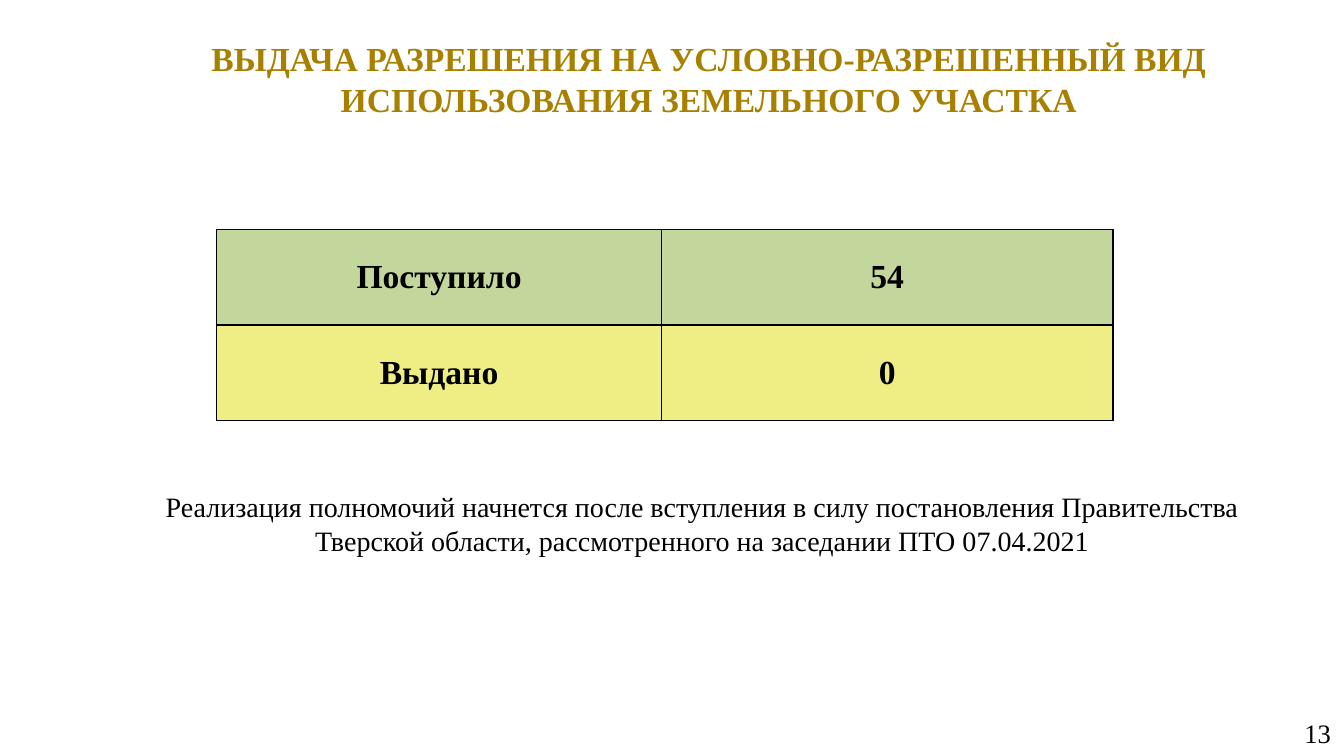
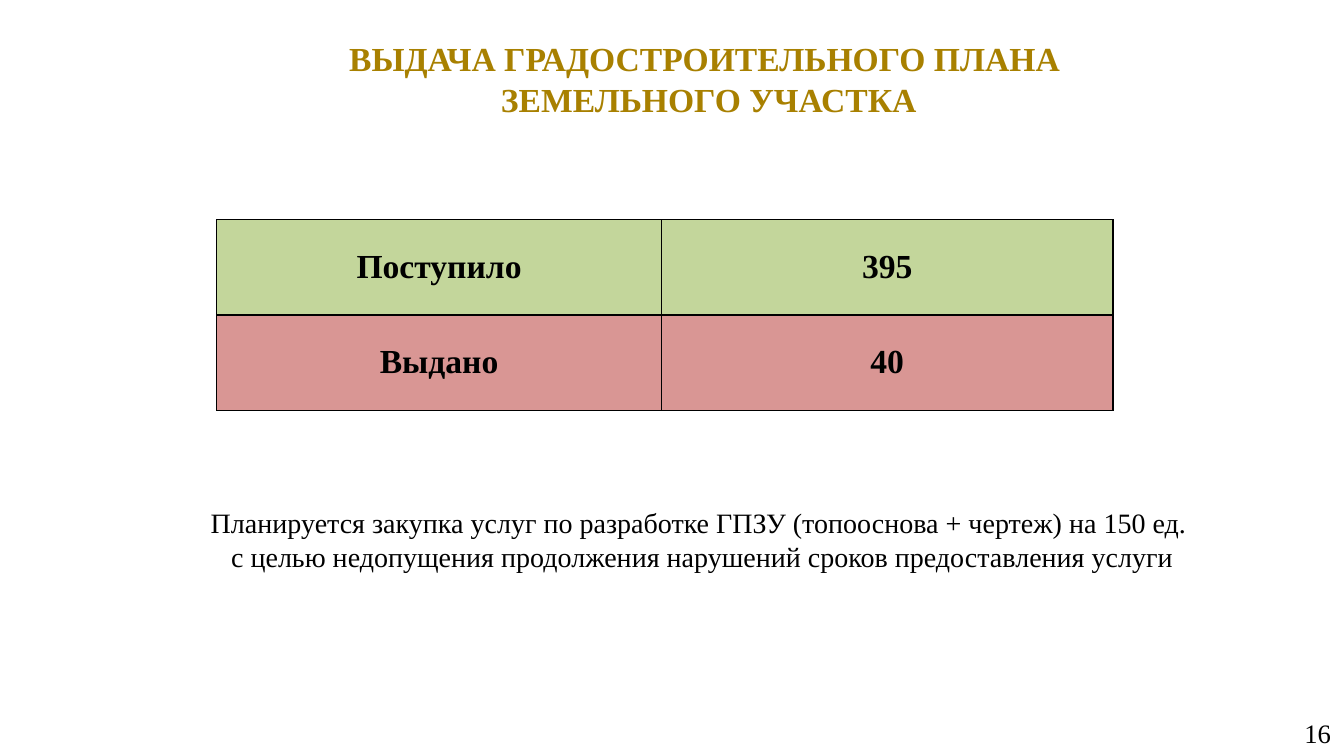
from dataclasses import dataclass

from pptx import Presentation
from pptx.dml.color import RGBColor
from pptx.enum.text import MSO_ANCHOR as Anchor, MSO_AUTO_SIZE as AutoSize, PP_ALIGN as Align
from pptx.oxml import parse_xml
from pptx.oxml.ns import nsdecls
from pptx.util import Inches, Pt

SLIDE_WIDTH, SLIDE_HEIGHT = Inches(13.33), Inches(7.5)
FONT = "Times New Roman"
GOLD = RGBColor(0xA8, 0x80, 0x00)
BLACK = RGBColor(0x00, 0x00, 0x00)
GREEN = RGBColor(0xC3, 0xD6, 0x9B)
YELLOW = RGBColor(0xEE, 0xEE, 0x84)
RED = RGBColor(0xD9, 0x96, 0x94)

TITLE_AREA = (9.83, 3.73, 85.82, 13.33)
PAGE_AREA = (76.67, 94.27, 23.33, 5.33)
TABLE_LEFT, TABLE_COLUMNS, TABLE_ROW = 16.13, (33.08, 33.61), 12.6
NOTE_LEFT, NOTE_WIDTH, NOTE_HEIGHT = 7.58, 89.35, 10.13
MARGIN_X, MARGIN_Y = Inches(0.13), Inches(0.07)


@dataclass
class Service:
    title: str
    page: str
    received: str
    issued: str
    issued_color: RGBColor
    table_top: float
    note: str
    note_top: float


SERVICES = [
    Service(
        "ВЫДАЧА РАЗРЕШЕНИЯ НА УСЛОВНО-РАЗРЕШЕННЫЙ ВИД ИСПОЛЬЗОВАНИЯ ЗЕМЕЛЬНОГО УЧАСТКА",
        "13", "54", "0", YELLOW, 30.4,
        "Реализация полномочий начнется после вступления в силу постановления Правительства "
        "Тверской области, рассмотренного на заседании ПТО 07.04.2021", 64.13),
    Service(
        "ВЫДАЧА ГРАДОСТРОИТЕЛЬНОГО ПЛАНА \vЗЕМЕЛЬНОГО УЧАСТКА",
        "16", "395", "40", RED, 29.07,
        "Планируется закупка услуг по разработке ГПЗУ (топооснова + чертеж) на 150 ед. \n"
        "с целью недопущения продолжения нарушений сроков предоставления услуги", 66.27),
]


def across(percent):
    return round(SLIDE_WIDTH * percent / 100)


def down(percent):
    return round(SLIDE_HEIGHT * percent / 100)


def place(area):
    left, top, width, height = area
    return across(left), down(top), across(width), down(height)


def set_margins(holder):
    holder.margin_left = holder.margin_right = MARGIN_X
    holder.margin_top = holder.margin_bottom = MARGIN_Y
    holder.vertical_anchor = Anchor.MIDDLE


def write(frame, text, size, color=BLACK, bold=False, align=Align.CENTER):
    frame.text = text
    for paragraph in frame.paragraphs:
        paragraph.alignment = align
        font = paragraph.font
        font.name, font.size, font.bold = FONT, Pt(size), bold
        font.color.rgb = color


def add_title(slide, text):
    title = slide.shapes.title
    title.left, title.top, title.width, title.height = place(TITLE_AREA)
    frame = title.text_frame
    frame.auto_size, frame.word_wrap = AutoSize.NONE, True
    set_margins(frame)
    write(frame, text, 24, GOLD, bold=True)


def add_text(slide, area, text, size, align=Align.CENTER):
    frame = slide.shapes.add_textbox(*place(area)).text_frame
    frame.word_wrap = True
    set_margins(frame)
    write(frame, text, size, align=align)


def add_borders(cell):
    properties = cell._tc.get_or_add_tcPr()
    for index, side in enumerate(("lnL", "lnR", "lnT", "lnB")):
        properties.insert(index, parse_xml(
            f'<a:{side} {nsdecls("a")} w="{Pt(1)}"><a:solidFill>'
            f'<a:srgbClr val="{BLACK}"/></a:solidFill></a:{side}>'))


def add_counts(slide, top, rows):
    area = (TABLE_LEFT, top, sum(TABLE_COLUMNS), TABLE_ROW * len(rows))
    table = slide.shapes.add_table(len(rows), len(TABLE_COLUMNS), *place(area)).table
    for column, width in zip(table.columns, TABLE_COLUMNS):
        column.width = across(width)
    for row, (label, count, color) in zip(table.rows, rows):
        row.height = down(TABLE_ROW)
        for cell, text in zip(row.cells, (label, count)):
            set_margins(cell)
            write(cell.text_frame, text, 24, bold=True)
            cell.fill.solid()
            cell.fill.fore_color.rgb = color
            add_borders(cell)


def add_service(deck, service):
    slide = deck.slides.add_slide(deck.slide_layouts.get_by_name("Title Only"))
    add_title(slide, service.title)
    add_text(slide, PAGE_AREA, service.page, 19, Align.RIGHT)
    add_counts(slide, service.table_top, [
        ("Поступило", service.received, GREEN),
        ("Выдано", service.issued, service.issued_color),
    ])
    add_text(slide, (NOTE_LEFT, service.note_top, NOTE_WIDTH, NOTE_HEIGHT), service.note, 20)


def main():
    deck = Presentation()
    deck.slide_width, deck.slide_height = SLIDE_WIDTH, SLIDE_HEIGHT
    for service in SERVICES:
        add_service(deck, service)
    deck.save("out.pptx")


if __name__ == "__main__":
    main()
